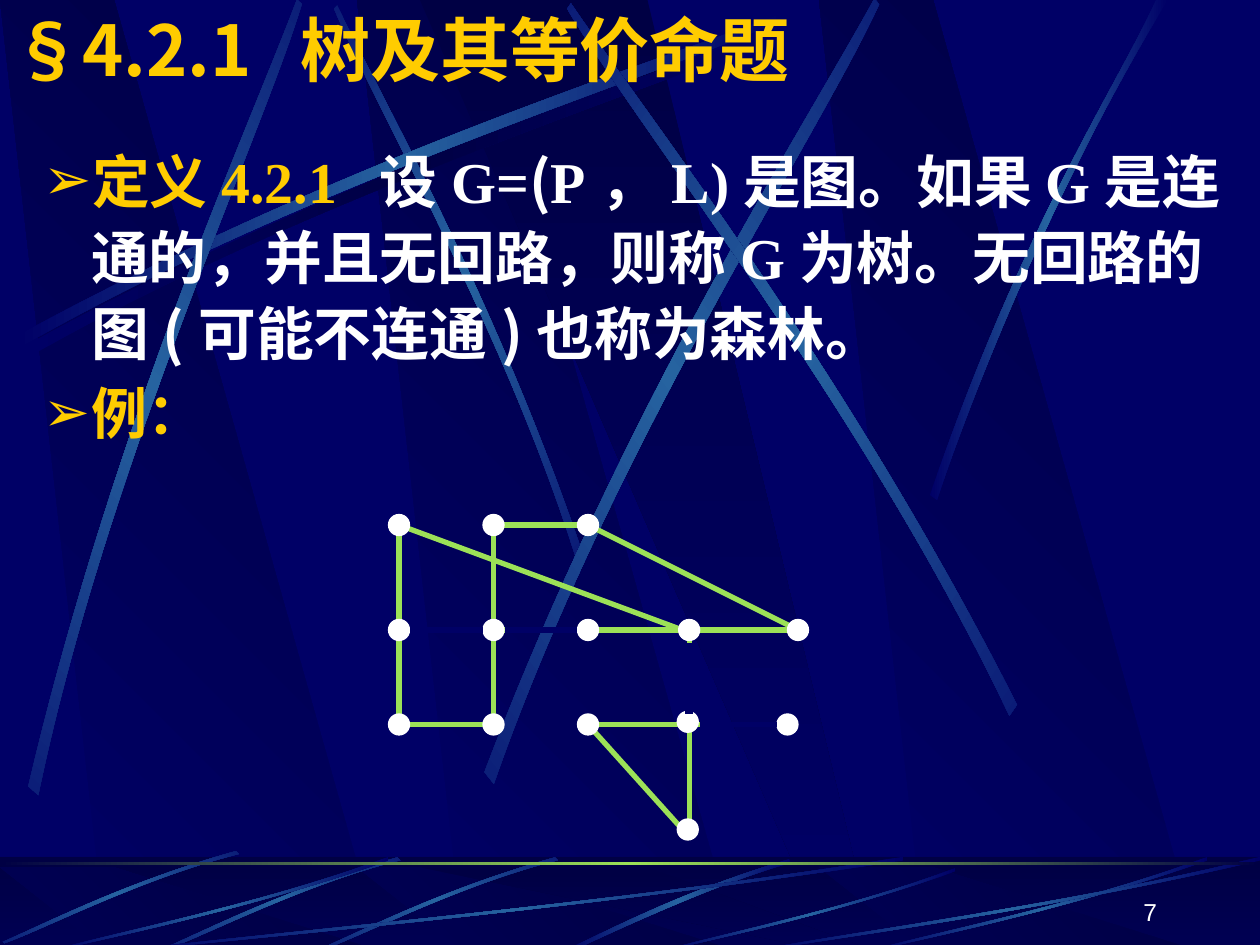
from pptx import Presentation
from pptx.dml.color import RGBColor
from pptx.enum.shapes import MSO_CONNECTOR, MSO_SHAPE
from pptx.enum.text import MSO_ANCHOR, PP_ALIGN
from pptx.oxml import parse_xml
from pptx.oxml.ns import nsdecls, qn
from pptx.util import Pt

COLORS = {"navy": "000066", "dark": "000044", "beam": "2663A0", "lime": "9CE157",
          "gold": "FFCC00", "white": "FFFFFF"}
CJK, SERIF, SANS = "Noto Sans CJK SC", "Times New Roman", "Arial"

BAND = [(0.28, 1), (1, 1), (0.3, 0), (0, 0)]
WIDE_BAND = [(0, 0), (0.9, 1), (1, 1), (0.5, 0)]
BEAM = [(0, 0.96), (0.43, 0.43), (0.83, 0.15), (1, 0),
        (1, 0.02), (0.84, 0.19), (0.38, 0.5), (0, 1)]
STEEP = [(0, 0.99), (0.4, 0.44), (0.79, 0.17), (0.95, 0),
         (1, 0), (0.52, 0.37), (0.16, 0.81), (0.03, 1)]
BLADE = [(0.99, 0), (0.49, 0.37), (0.16, 0.82), (0, 0.99),
         (0.03, 1), (0.23, 0.77), (0.68, 0.25), (1, 0.04)]
REED = [(1, 0.04), (0.57, 0.57), (0.17, 0.85), (0, 1),
        (0, 0.99), (0.17, 0.81), (0.62, 0.51), (1, 0)]


def rgb(name):
    return RGBColor.from_string(COLORS[name])


def paint(s, stops, angle=0):
    s.shadow.inherit = False
    s.line.fill.background()
    s.fill.solid()
    s.fill.fore_color.rgb = rgb(stops[0])
    if len(stops) > 1:
        step = 100000 // (len(stops) - 1)
        marks = "".join(f'<a:gs pos="{i * step}"><a:srgbClr val="{COLORS[c]}"/></a:gs>'
                        for i, c in enumerate(stops))
        grad = parse_xml(f'<a:gradFill {nsdecls("a")} rotWithShape="1"><a:gsLst>{marks}</a:gsLst>'
                         f'<a:lin ang="{angle * 60000}" scaled="0"/></a:gradFill>')
        props = s._element.spPr
        props.replace(props.find(qn("a:solidFill")), grad)


def add_outline(shapes, box, points, stops, angle=0):
    left, top, width, height = box
    spots = [(Pt(left + x * width), Pt(top + y * height)) for x, y in points]
    builder = shapes.build_freeform(*spots[0])
    builder.add_line_segments(spots[1:], close=True)
    s = builder.convert_to_shape()
    paint(s, stops, angle)
    return s


def bend_sides(s):
    lines = list(s._element.iter(qn("a:lnTo")))
    for side in (lines[:3], lines[4:7]):
        curve = parse_xml(f'<a:cubicBezTo {nsdecls("a")}/>')
        side[0].addprevious(curve)
        for line in side:
            curve.append(line[0])
            line.getparent().remove(line)


def add_streak(shapes, box, profile, rotation=0, flip=False, middle="beam"):
    points = [(1 - x, y) for x, y in profile] if flip else profile
    s = add_outline(shapes, box, points, ["navy", middle, "navy"])
    bend_sides(s)
    s.rotation = rotation


def add_bar(shapes, box, stops, angle=0):
    s = shapes.add_shape(MSO_SHAPE.RECTANGLE, *map(Pt, box))
    paint(s, stops, angle)
    return s


def add_bands(shapes, top, height):
    for left in (204, 0, 468):
        add_outline(shapes, (left, top, 217.5, height), BAND, ["navy", "dark"], 315)
    add_outline(shapes, (240, top, 260, height), WIDE_BAND, ["dark", "navy"], 90)


def add_sky(shapes, box):
    left, top, width, height = box
    add_bands(shapes, top, height)
    beams = [(14.4, 13, 437.8, 192.2, 0, False, "dark"),
             (101.5, 97.2, 318.2, 126, 45, True, "beam"),
             (10.1, 7.2, 437.8, 192.2, 0, False, "beam"),
             (-123.1, 131, 437.8, 192.2, 311.7, False, "beam"),
             (166.3, 115.2, 449.3, 216.7, 321.6, False, "beam"),
             (232.6, 109.4, 437.8, 192.2, 34.7, True, "beam")]
    for x, y, w, h, rotation, flip, middle in beams:
        add_streak(shapes, (left + x, top + y, w, h), BEAM, rotation, flip, middle)
    add_streak(shapes, (left + 531.4, top, 136, 285.8), STEEP)


def add_ground(shapes, box):
    left, top, width, height = box
    add_bar(shapes, box, ["dark", "navy"], 90)
    add_bands(shapes, top + 6, height - 6)
    veil = add_bar(shapes, box, ["dark"])
    color = veil._element.spPr.find(qn("a:solidFill"))[0]
    color.append(parse_xml(f'<a:alpha {nsdecls("a")} val="50000"/>'))
    add_streak(shapes, (left + 322.6, top + 1.4, 129.6, 52.6), BLADE)
    for x, y in ((185.8, -2.9), (95.8, -2.9), (3.6, -6.5)):
        add_streak(shapes, (left + x, top + y, 131, 60), BEAM, 315, True)
    for x, w, drop in ((72, 444, 0), (30, 192, 0), (379.4, 166.3, 6.5),
                       (498, 192, 0), (432, 288, 0)):
        add_streak(shapes, (left + x, top + drop, w, height - drop), REED)
    add_bar(shapes, (left, top + 2.9, width, 1.8), ["dark", "lime", "dark"])


def add_backdrop(prs, slide):
    group = slide.shapes.add_group_shape()
    add_sky(group.shapes, (0, 0, 720, 541))
    add_ground(group.shapes, (0, 489.6, 720, 54))
    prs.slide_master.shapes._spTree.insert(2, group._element)


def format_run(r, size, font, color, bold=True):
    r.font.size = Pt(size)
    r.font.name = font
    r.font.bold = bold
    r.font.color.rgb = rgb(color)
    r.font._element.find(qn("a:latin")).addnext(
        parse_xml(f'<a:ea {nsdecls("a")} typeface="{CJK}"/>'))


def place_title(slide, box, text):
    title = slide.shapes.title
    title.left, title.top, title.width, title.height = map(Pt, box)
    tf = title.text_frame
    tf.text = text
    tf.vertical_anchor = MSO_ANCHOR.MIDDLE
    p = tf.paragraphs[0]
    p.alignment = PP_ALIGN.LEFT
    format_run(p.runs[0], 40, CJK, "gold")


def add_bullet(p):
    props = p._p.get_or_add_pPr()
    props.set("marL", str(Pt(27)))
    props.set("indent", str(-Pt(27)))
    for tag in (f'buClr {nsdecls("a")}><a:srgbClr val="{COLORS["gold"]}"/></a:buClr>',
                f'buFont {nsdecls("a")} typeface="{SANS}"/>',
                f'buChar {nsdecls("a")} char="➢"/>'):
        props.append(parse_xml(f"<a:{tag}"))


def add_definition(slide, box):
    tf = slide.shapes.add_textbox(*map(Pt, box)).text_frame
    tf.word_wrap = True
    definition = [("定义", CJK, "gold"), ("4.2.1  ", SERIF, "gold")]
    plain = ["设", "G=", "(", "P", "，", "L)", "是图。如果", "G", "是连通的，并且无回路，则称",
             "G", "为树。无回路的图(可能不连通)也称为森林。"]
    definition += [(text, SERIF if i % 2 else CJK, "white") for i, text in enumerate(plain)]
    paragraphs = [(tf.paragraphs[0], 33, definition),
                  (tf.add_paragraph(), 32, [("例：", SERIF, "gold")])]
    for p, size, runs in paragraphs:
        add_bullet(p)
        for text, font, color in runs:
            r = p.add_run()
            r.text = text
            format_run(r, size, font, color)
    paragraphs[0][0].line_spacing = 1.1
    paragraphs[1][0].space_before = Pt(6.4)


def add_graph(slide, left, top):
    def add_edge(x1, y1, x2, y2, color, weight=3):
        s = slide.shapes.add_connector(MSO_CONNECTOR.STRAIGHT, Pt(left + x1), Pt(top + y1),
                                       Pt(left + x2), Pt(top + y2))
        s.line.color.rgb = rgb(color)
        s.line.width = Pt(weight)
        s._element.spPr.append(parse_xml(f'<a:effectLst {nsdecls("a")}/>'))

    edges = [(108, 0, 228, 60), (108, 114, 162, 174), (0, 114, 54, 114), (162, 60, 0, 0),
             (0, 0, 0, 108), (108, 0, 54, 0), (222, 60, 0, 60), (165.8, 60.7, 165.8, 168.7),
             (222, 114, 108, 114), (54, 0, 54, 108)]
    for edge in edges:
        add_edge(*edge, "lime")
    nodes = [(x, y) for y in (0, 60, 114) for x in (0, 54, 108)]
    nodes += [(165.8, 60), (228, 60), (165, 112.5), (222, 114), (165, 174)]
    for x, y in nodes:
        s = slide.shapes.add_shape(MSO_SHAPE.OVAL, Pt(left + x - 6), Pt(top + y - 6), Pt(12), Pt(12))
        paint(s, ["white"])
        s.line.color.rgb = rgb("white")
        s.line.width = Pt(0.75)
    gaps = [(60.7, 60, 102, 60, 3), (165.8, 67.2, 165.8, 108.2, 4.5), (6, 60, 48, 60, 3),
            (172.3, 114, 216, 114, 3)]
    for x1, y1, x2, y2, weight in gaps:
        add_edge(x1, y1, x2, y2, "navy", weight)


def add_page_number(slide, box, text):
    tf = slide.shapes.add_textbox(*map(Pt, box)).text_frame
    tf.word_wrap = True
    tf.text = text
    tf.vertical_anchor = MSO_ANCHOR.BOTTOM
    p = tf.paragraphs[0]
    p.alignment = PP_ALIGN.RIGHT
    format_run(p.runs[0], 14, SANS, "white", False)


def main():
    prs = Presentation()
    prs.slide_width, prs.slide_height = Pt(720), Pt(540)
    slide = prs.slides.add_slide(prs.slide_layouts[5])
    slide.background.fill.solid()
    slide.background.fill.fore_color.rgb = rgb("navy")
    add_backdrop(prs, slide)
    place_title(slide, (0, 0, 612, 55.4), "§4.2.1  树及其等价命题")
    add_definition(slide, (18, 75.6, 689.8, 174.2))
    add_graph(slide, 228, 300)
    add_page_number(slide, (518.4, 496.8, 149.8, 36), "7")
    prs.save("out.pptx")


if __name__ == "__main__":
    main()
